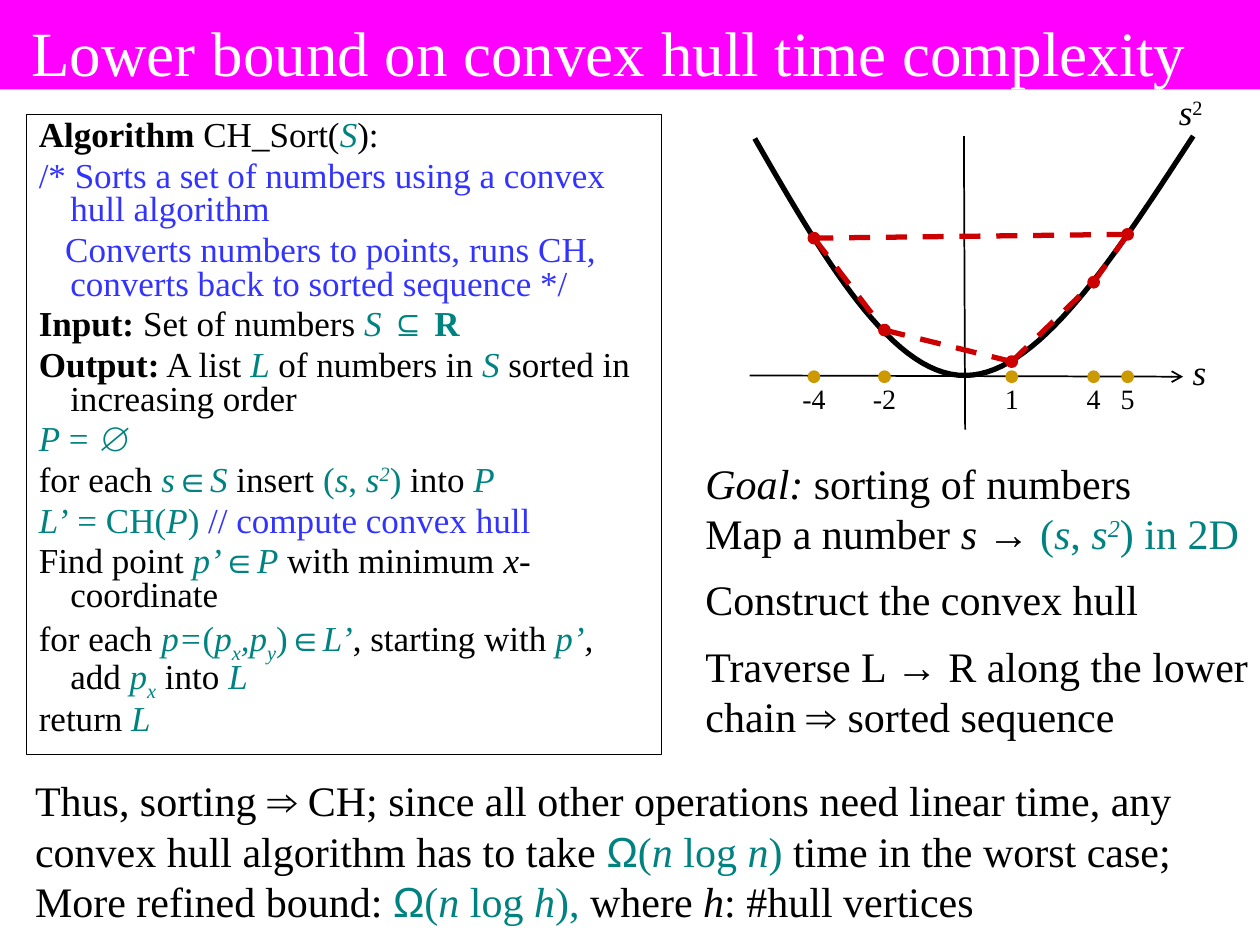
from itertools import pairwise

from lxml.etree import SubElement
from pptx import Presentation
from pptx.dml.color import RGBColor
from pptx.enum.dml import MSO_LINE
from pptx.enum.shapes import MSO_CONNECTOR, MSO_SHAPE
from pptx.enum.text import MSO_ANCHOR, PP_ALIGN
from pptx.oxml.ns import qn
from pptx.util import Inches, Pt

COLUMNS, ROWS = 100, 75
CELL = Inches(0.1)
SERIF = "Times New Roman"
BLACK, WHITE, MAGENTA = "000000", "FFFFFF", "FF00FF"
TEAL, BLUE, GOLD, RED = "008380", "3333FF", "CC9900", "CC0000"
AXIS_ROW = 29.9

ALGORITHM = [
    "{b|Algorithm }CH_Sort({ti|S}):",
    "{u|/* Sorts a set of numbers using a convex hull algorithm}",
    "{u|Converts numbers to points, runs CH, converts back to sorted sequence */}",
    "{b|Input:} Set of numbers {ti|S }{t|⊆ }{tb|R}",
    "{b|Output:} A list {ti|L} of numbers in {ti|S} sorted in increasing order",
    "{ti|P}{t| = ∅}",
    "for each {ti|s}{t|∈}{ti|S} insert {t|(}{ti|s}{t|, }{ti|s}{ti^|2}{t|)} into {ti|P}",
    "{ti|L’}{t| = CH(}{ti|P}{t|) }{u|// compute convex hull}",
    "Find point {ti|p’}{t|∈}{ti|P} with minimum {i|x}-coordinate",
    "for each {ti|p=}{t|(}{ti|p}{ti_|x}{ti|,p}{ti_|y}{t|)∈}{ti|L’}, starting with {ti|p’}{i|,}"
    "\nadd {ti|p}{ti_|x} into {ti|L}",
    "return{ti| L}",
]
COMMENT_CONTINUATION = 2
STEPS = [
    "{i|Goal:} sorting of numbers",
    "Map a number {i|s }→ {t|(}{ti|s}{t|, }{ti|s}{ti^|2}{t|) in 2D}",
    "Construct the convex hull",
    "Traverse L → R along the lower chain ⇒ sorted sequence",
]
CONCLUSION = [
    "Thus, sorting ⇒ CH; since all other operations need linear time, any convex hull "
    "algorithm has to take {ta|Ω}{t|(}{ti|n }{t|log }{ti|n}{t|)} time in the worst case;",
    "More refined bound: {ta|Ω}{t|(}{ti|n }{t|log }{ti|h}{t|), }where {i|h}: #hull vertices",
]
SAMPLES = [("-4", 64.6, 18.9), ("-2", 70.2, 26.2), ("1", 80.3, 28.7),
           ("4", 86.8, 22.4), ("5", 89.5, 18.6)]
PARABOLA = [
    [(59.9, 11), (65.3, 20.4), (70.8, 29.9), (76.6, 29.8)],
    [(76.6, 29.8), (82.4, 29.8), (88.5, 20.3), (94.7, 10.8)],
]


def color(value):
    return RGBColor.from_string(value)


def cells(*counts):
    return [round(count * CELL) for count in counts]


def format_run(run, size, style=""):
    run.font.size = Pt(size)
    run.font.name = "Arial" if "a" in style else SERIF
    run.font.bold = "b" in style
    run.font.italic = "i" in style
    ink = TEAL if "t" in style else BLUE if "u" in style else BLACK
    run.font.color.rgb = color(ink)
    for mark, shift in (("^", "30000"), ("_", "-25000")):
        if mark in style:
            run._r.get_or_add_rPr().set("baseline", shift)


def write_line(paragraph, marked, size):
    for piece in marked.replace("}", "{|").split("{"):
        style, styled, words = piece.partition("|")
        if not styled:
            style, words = "", piece
        for index, part in enumerate(words.split("\n")):
            if index:
                paragraph.add_line_break()
            if part:
                run = paragraph.add_run()
                run.text = part
                format_run(run, size, style)


def add_text(slide, place, lines, size, align=PP_ALIGN.LEFT):
    box = slide.shapes.add_textbox(*cells(*place))
    frame = box.text_frame
    frame.word_wrap = True
    for index, marked in enumerate(lines):
        paragraph = frame.add_paragraph() if index else frame.paragraphs[0]
        paragraph.alignment = align
        write_line(paragraph, marked, size)
    return box


def add_label(slide, column, row, marked, size):
    width = 5.1
    add_text(slide, (column - width / 2, row, width, size * 0.22), [marked], size, PP_ALIGN.CENTER)


def add_line(slide, start, end, ink, width, dashed=False, arrow=False):
    line = slide.shapes.add_connector(MSO_CONNECTOR.STRAIGHT, *cells(*start, *end))
    line.line.color.rgb = color(ink)
    line.line.width = Pt(width)
    if dashed:
        line.line.dash_style = MSO_LINE.DASH
    if arrow:
        SubElement(line.line._get_or_add_ln(), qn("a:tailEnd"), type="arrow")
    SubElement(line._element.spPr, qn("a:effectLst"))


def add_dot(slide, column, row, ink):
    size = 0.7
    dot = slide.shapes.add_shape(
        MSO_SHAPE.OVAL, *cells(column - size / 2, row - size / 2, size, size))
    dot.shadow.inherit = False
    dot.fill.solid()
    dot.fill.fore_color.rgb = color(ink)
    dot.line.color.rgb = color(ink)
    dot.line.width = Pt(2.25)


def bezier(controls, steps=30):
    for step in range(steps + 1):
        t = step / steps
        weights = ((1 - t) ** 3, 3 * t * (1 - t) ** 2, 3 * t * t * (1 - t), t ** 3)
        yield tuple(sum(w * c for w, c in zip(weights, axis)) for axis in zip(*controls))


def add_parabola(slide):
    points = [tuple(cells(*point)) for half in PARABOLA for point in bezier(half)]
    outline = slide.shapes.build_freeform(*points[0])
    outline.add_line_segments(points[1:], close=False)
    curve = outline.convert_to_shape()
    curve.shadow.inherit = False
    curve.fill.background()
    curve.line.color.rgb = color(BLACK)
    curve.line.width = Pt(3)


def add_title(slide):
    title = slide.shapes.title
    title.left, title.top, title.width, title.height = cells(0, -0.2, COLUMNS, 7.3)
    title.fill.solid()
    title.fill.fore_color.rgb = color(MAGENTA)
    frame = title.text_frame
    frame.text = "Lower bound on convex hull time complexity"
    frame.vertical_anchor = MSO_ANCHOR.BOTTOM
    frame.margin_left, frame.margin_bottom = cells(2.5, 0)
    frame.paragraphs[0].alignment = PP_ALIGN.LEFT
    heading = frame.paragraphs[0].runs[0]
    format_run(heading, 36)
    heading.font.color.rgb = color(WHITE)


def add_algorithm(slide):
    box = add_text(slide, (2.1, 9.1, 50.4, 50.8), ALGORITHM, 20)
    box.line.color.rgb = color(BLACK)
    box.line.width = Pt(0.75)
    for index, paragraph in enumerate(box.text_frame.paragraphs):
        paragraph.line_spacing = 0.8
        paragraph.space_before = Pt(4)
        hanging = 0.04 if index == COMMENT_CONTINUATION else 0.25
        properties = paragraph._p.get_or_add_pPr()
        properties.set("marL", str(Inches(0.25)))
        properties.set("indent", str(-Inches(hanging)))


def add_plot(slide):
    add_line(slide, (59.5, 29.8), (93.9, AXIS_ROW), BLACK, 1, arrow=True)
    add_line(slide, (76.6, 34.1), (76.5, 10.8), BLACK, 1)
    add_parabola(slide)
    add_label(slide, 94.5, 6.7, "{i|s}{^|2}", 20)
    add_label(slide, 95.2, 27.3, "{i|s}", 20)
    for number, column, row in SAMPLES:
        add_dot(slide, column, AXIS_ROW, GOLD)
        add_label(slide, column, AXIS_ROW - 0.1, number, 16)
        add_dot(slide, column, row, RED)
    hull = [(column, row) for _, column, row in SAMPLES]
    for start, end in pairwise(hull + hull[:1]):
        add_line(slide, start, end, RED, 3, dashed=True)


def main():
    deck = Presentation()
    deck.slide_width, deck.slide_height = cells(COLUMNS, ROWS)
    slide = deck.slides.add_slide(deck.slide_layouts[5])
    add_title(slide)
    add_algorithm(slide)
    add_plot(slide)
    steps = add_text(slide, (55, 35.8, 46.2, 23.9), STEPS, 24)
    for paragraph in steps.text_frame.paragraphs[2:]:
        paragraph.space_before = Pt(9)
    add_text(slide, (1.8, 61, 96.3, 13.1), CONCLUSION, 24)
    deck.save("out.pptx")


if __name__ == "__main__":
    main()
